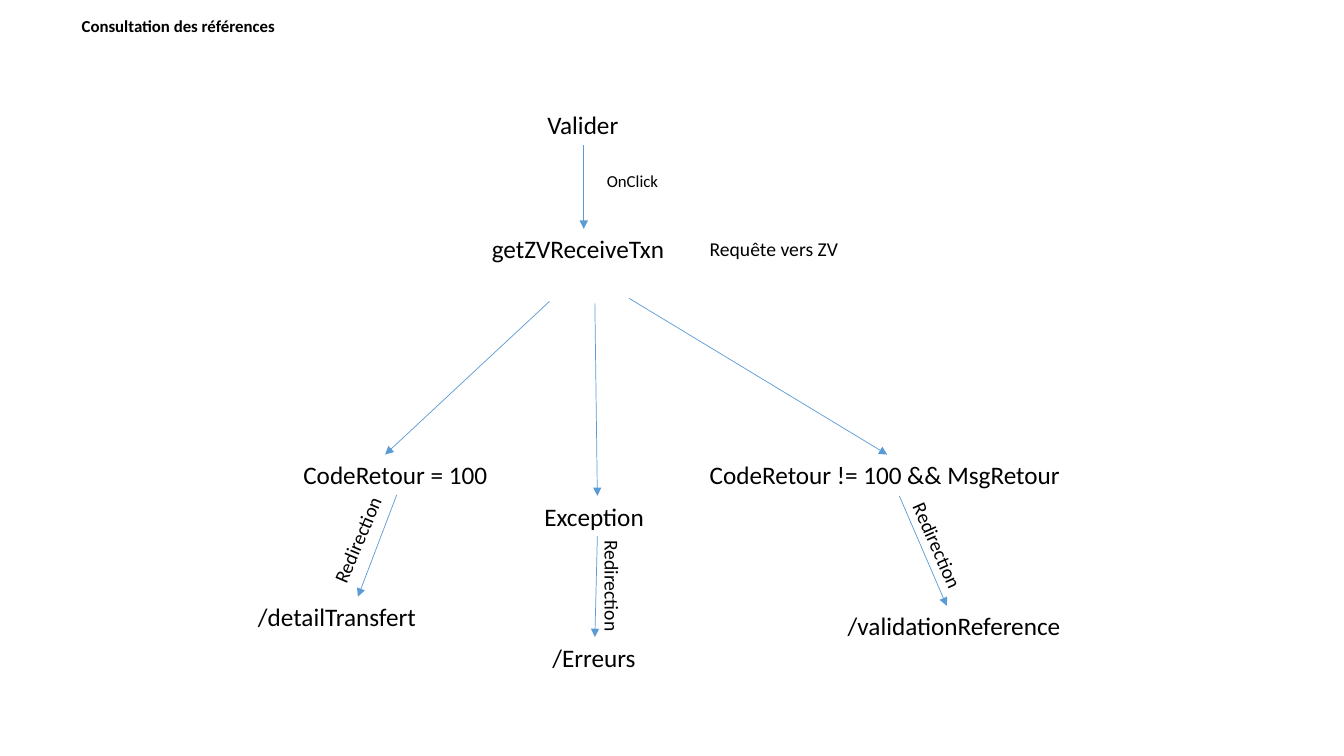
from dataclasses import dataclass

from lxml import etree
from pptx import Presentation
from pptx.dml.color import RGBColor
from pptx.enum.shapes import MSO_CONNECTOR as Connector
from pptx.enum.text import MSO_ANCHOR as Anchor, MSO_AUTO_SIZE as AutoSize, PP_ALIGN as Align
from pptx.oxml.ns import qn
from pptx.util import Inches, Pt

TOP, BOTTOM = 0, 2


@dataclass(frozen=True)
class Theme:
    font: str = "Calibri"
    ink: RGBColor = RGBColor(0x00, 0x00, 0x00)
    arrow: RGBColor = RGBColor(0x5B, 0x9B, 0xD5)
    node_size: Pt = Pt(18)
    label_size: Pt = Pt(14)
    small_size: Pt = Pt(12)
    arrow_width: Pt = Pt(0.5)


THEME = Theme()


def write_text(box, text, size, bold=False):
    frame = box.text_frame
    frame.text = text
    frame.word_wrap = False
    frame.vertical_anchor = Anchor.TOP
    para = frame.paragraphs[0]
    para.alignment = Align.LEFT
    para.font.name = THEME.font
    para.font.size = size
    para.font.bold = bold
    para.font.color.rgb = THEME.ink


def place_title(page, text, left, top, width, height):
    title = page.shapes.title
    title.left, title.top = Inches(left), Inches(top)
    title.width, title.height = Inches(width), Inches(height)
    write_text(title, text, THEME.small_size, bold=True)
    title.text_frame.auto_size = AutoSize.NONE


def add_text(page, text, left, top, width, height=0.4, size=THEME.node_size, rotation=0):
    box = page.shapes.add_textbox(Inches(left), Inches(top), Inches(width), Inches(height))
    write_text(box, text, size)
    box.text_frame.auto_size = AutoSize.SHAPE_TO_FIT_TEXT
    box.rotation = rotation
    return box


def add_arrow(page, start, end, source=None, target=None):
    """Draw an arrow, joined to the bottom of source and the top of target if given."""
    points = [Inches(value) for value in (*start, *end)]
    arrow = page.shapes.add_connector(Connector.STRAIGHT, *points)
    if source is not None:
        arrow.begin_connect(source, BOTTOM)
    if target is not None:
        arrow.end_connect(target, TOP)
    arrow.line.color.rgb = THEME.arrow
    arrow.line.width = THEME.arrow_width
    etree.SubElement(arrow.line._get_or_add_ln(), qn("a:tailEnd"), type="triangle")
    etree.SubElement(arrow._element.spPr, qn("a:effectLst"))


def main():
    deck = Presentation()
    deck.slide_width, deck.slide_height = Inches(13.33), Inches(7.5)
    page = deck.slides.add_slide(deck.slide_layouts.get_by_name("Title Only"))
    place_title(page, "Consultation des références", 0.71, 0.11, 2.18, 0.3)

    submit = add_text(page, "Valider", 5.33, 1.04, 0.92)
    request = add_text(page, "getZVReceiveTxn", 4.78, 2.27, 2.02)
    success = add_text(page, "CodeRetour = 100", 2.91, 4.51, 2.05)
    failure = add_text(page, "CodeRetour != 100 && MsgRetour", 6.94, 4.51, 3.72)
    exception = add_text(page, "Exception", 5.3, 4.92, 1.25)
    add_text(page, "/detailTransfert", 2.46, 5.92, 1.78)
    add_text(page, "/validationReference", 8.31, 6.01, 2.34)
    errors = add_text(page, "/Erreurs", 5.38, 6.32, 1.04)

    add_arrow(page, (5.79, 1.45), (5.79, 2.27), submit, request)
    add_arrow(page, (5.45, 2.99), (3.82, 4.51))
    add_arrow(page, (5.9, 3.01), (5.93, 4.92), target=exception)
    add_arrow(page, (6.24, 2.96), (8.79, 4.51), target=failure)
    add_arrow(page, (3.93, 4.92), (3.55, 5.92), source=success)
    add_arrow(page, (5.93, 5.32), (5.9, 6.32), exception, errors)
    add_arrow(page, (8.92, 4.92), (9.39, 6.01))

    add_text(page, "OnClick", 5.92, 1.64, 0.72, 0.3, THEME.small_size)
    add_text(page, "Requête vers ZV", 6.94, 2.3, 1.56, 0.34, THEME.label_size)
    for left, top, rotation in ((2.99, 5.18, 292.9), (5.51, 5.65, 90), (8.74, 5.25, 66.4)):
        add_text(page, "Redirection", left, top, 1.12, 0.34, THEME.label_size, rotation)

    deck.save("out.pptx")


if __name__ == "__main__":
    main()
